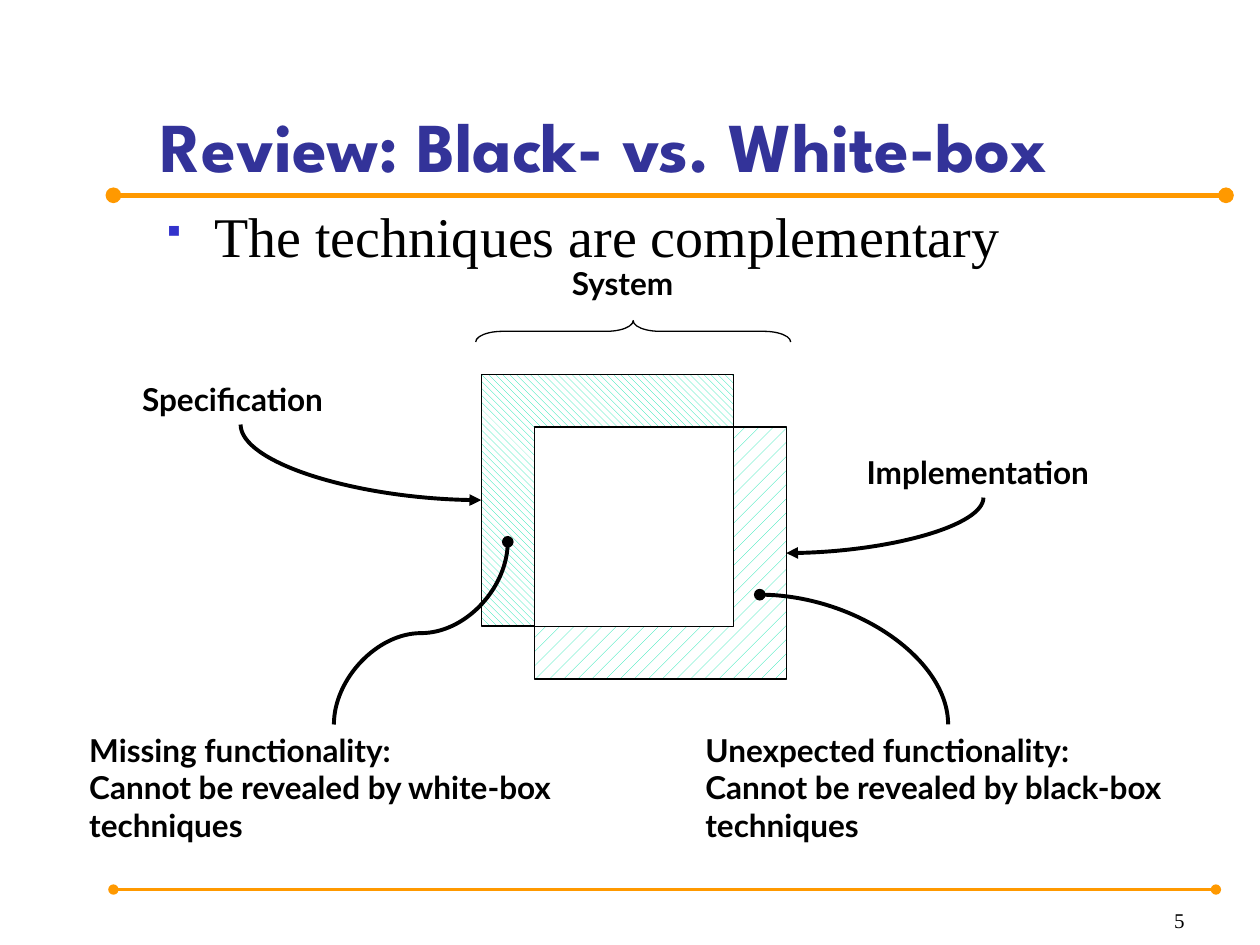
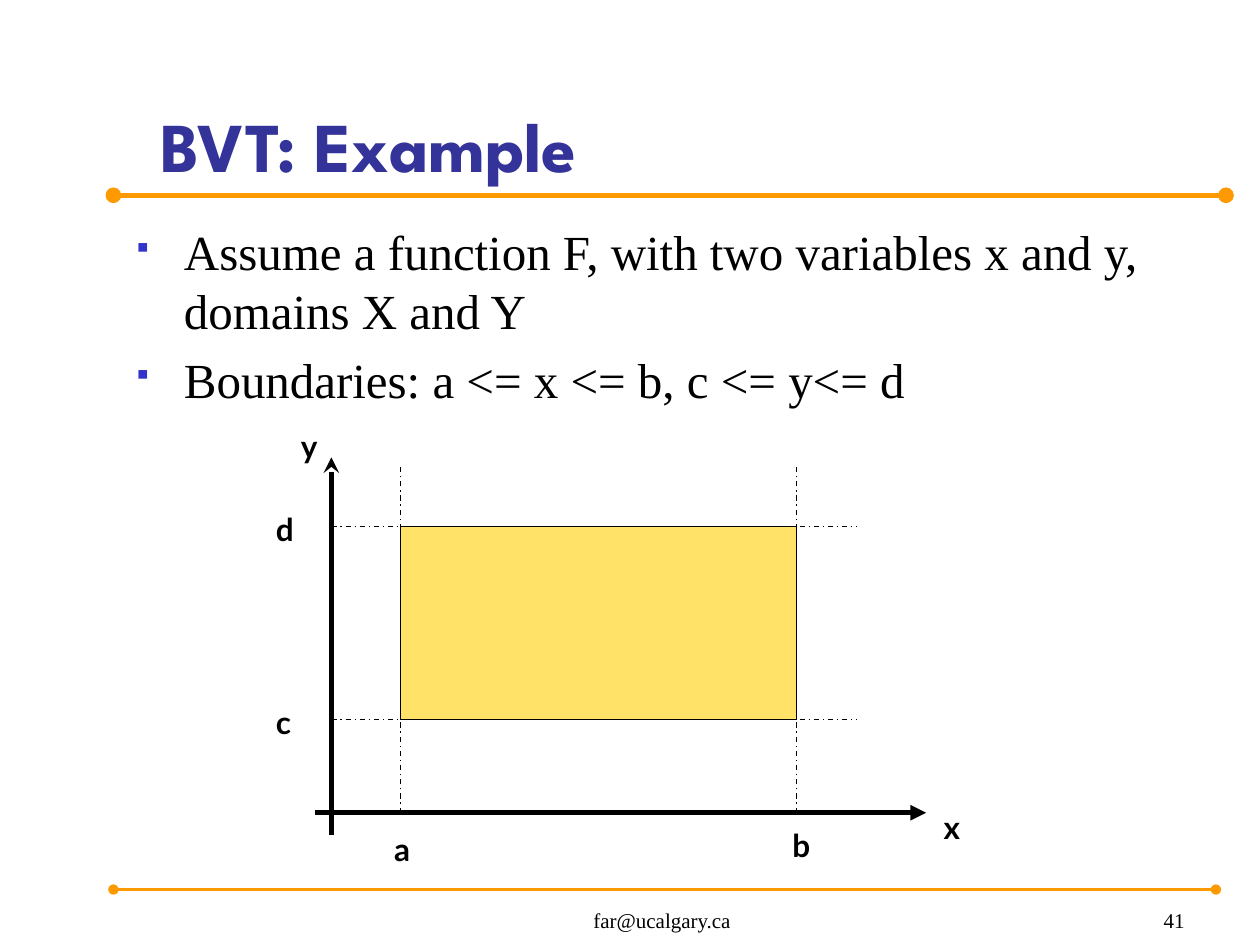
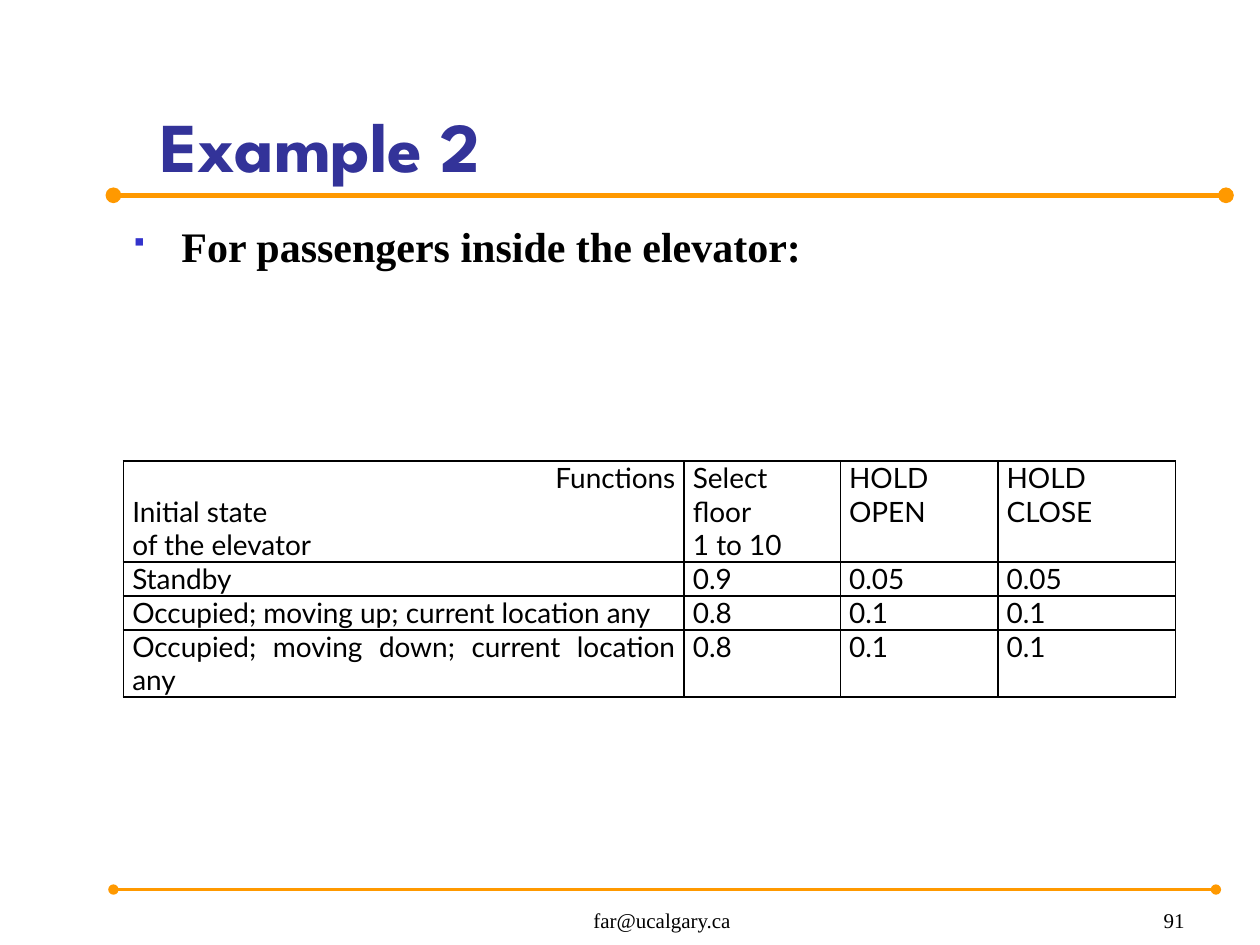
from dataclasses import dataclass

from lxml import etree
from pptx import Presentation
from pptx.dml.color import RGBColor
from pptx.enum.dml import MSO_LINE, MSO_PATTERN
from pptx.enum.shapes import MSO_CONNECTOR, MSO_SHAPE
from pptx.enum.text import MSO_ANCHOR, MSO_AUTO_SIZE, PP_ALIGN
from pptx.oxml.ns import qn
from pptx.util import Inches, Pt


@dataclass(frozen=True)
class Theme:
    ink: str = "000000"
    paper: str = "FFFFFF"
    title: str = "333399"
    bullet: str = "3333CC"
    rule: str = "FF9900"
    hatch: str = "00E4A8"
    domain: str = "FFE267"
    title_font: str = "League Spartan"
    body_font: str = "Times New Roman"
    label_font: str = "Lato"
    title_size: int = 40
    label_size: int = 18
    table_size: int = 16
    footer_size: int = 12
    thin: float = 0.75
    curve: float = 2.25
    heavy: float = 3


THEME = Theme()
EMAIL = "far@ucalgary.ca"


def rgb(code):
    return RGBColor.from_string(code)


def sub(parent, tag, **attributes):
    return etree.SubElement(parent, qn(tag), attributes)


def write(paragraph, text, font, size, color=THEME.ink, bold=False):
    """Add one run per line of text, with line breaks between."""
    for index, line in enumerate(text.split("\n")):
        if index:
            paragraph.add_line_break()
        run = paragraph.add_run()
        run.text = line
        run.font.name = font
        run.font.size = Pt(size)
        run.font.bold = bold
        run.font.color.rgb = rgb(color)


def place(shape, left, top, width, height):
    shape.left, shape.top = Inches(left), Inches(top)
    shape.width, shape.height = Inches(width), Inches(height)


def add_line(slide, start, end, color=THEME.ink, width=THEME.thin,
             head=None, tail=None, dash=None, kind=MSO_CONNECTOR.STRAIGHT):
    line = slide.shapes.add_connector(
        kind, *(Inches(value) for value in (*start, *end)))
    line.line.color.rgb = rgb(color)
    line.line.width = Pt(width)
    if dash:
        line.line.dash_style = dash
    outline = line.line._get_or_add_ln()
    for tag, arrow in (("a:headEnd", head), ("a:tailEnd", tail)):
        if arrow:
            sub(outline, tag, type=arrow)
    sub(line.element.spPr, "a:effectLst")
    return line


def add_bend(slide, tip, label, site, arrow):
    """Curve that leaves its tip sideways and reaches a label's side upright."""
    x = label.left + label.width // 2
    y = label.top + (label.height if site == 2 else 0)
    bend = add_line(slide, tip, (x.inches if hasattr(x, "inches") else x / Inches(1),
                                 y / Inches(1)),
                    width=THEME.curve, head=arrow, kind=MSO_CONNECTOR.CURVE)
    bend.element.spPr.find(qn("a:prstGeom")).set("prst", "curvedConnector2")
    bend.end_connect(label, site)
    return bend


def add_s_curve(slide, tip, foot, label):
    """Curve that leaves its tip downwards and enters the label's top."""
    across, down = tip[0] - foot[0], foot[1] - tip[1]
    left = (tip[0] + foot[0] - down) / 2
    top = (tip[1] + foot[1] - across) / 2
    curve = add_line(slide, (left, top), (left + down, top + across),
                     width=THEME.curve, head="oval", kind=MSO_CONNECTOR.CURVE)
    curve.end_connect(label, 0)
    frame = curve.element.spPr.find(qn("a:xfrm"))
    for flip in ("flipH", "flipV"):
        frame.attrib.pop(flip, None)
    place(curve, left, top, down, across)
    frame.set("rot", "5400000")


def add_outlined(slide, kind, left, top, width, height):
    shape = slide.shapes.add_shape(
        kind, *(Inches(value) for value in (left, top, width, height)))
    shape.shadow.inherit = False
    shape.line.color.rgb = rgb(THEME.ink)
    shape.line.width = Pt(THEME.thin)
    return shape


def add_box(slide, left, top, width, height, fill, pattern=None):
    box = add_outlined(slide, MSO_SHAPE.RECTANGLE, left, top, width, height)
    if pattern:
        box.fill.patterned()
        box.fill.pattern = pattern
        box.fill.fore_color.rgb = rgb(fill)
        box.fill.back_color.rgb = rgb(THEME.paper)
    else:
        box.fill.solid()
        box.fill.fore_color.rgb = rgb(fill)
    return box


def add_label(slide, text, left, top, width, height, wrap=False):
    label = slide.shapes.add_textbox(
        *(Inches(value) for value in (left, top, width, height)))
    label.text_frame.word_wrap = wrap
    label.text_frame.auto_size = MSO_AUTO_SIZE.SHAPE_TO_FIT_TEXT
    write(label.text_frame.paragraphs[0], text, THEME.label_font,
          THEME.label_size, bold=True)
    return label


def add_footer(slide, text, left, width, align):
    footer = slide.shapes.add_textbox(
        Inches(left), Inches(7.01), Inches(width), Inches(0.44))
    footer.text_frame.word_wrap = True
    footer.text_frame.vertical_anchor = MSO_ANCHOR.BOTTOM
    paragraph = footer.text_frame.paragraphs[0]
    paragraph.alignment = align
    write(paragraph, text, THEME.body_font, THEME.footer_size)


def add_bullets(slide, frame, size, items, bold=False):
    body = slide.placeholders[1]
    place(body, *frame)
    text = body.text_frame
    text.auto_size = MSO_AUTO_SIZE.NONE
    for index, item in enumerate(items):
        paragraph = text.add_paragraph() if index else text.paragraphs[0]
        properties = paragraph._p.get_or_add_pPr()
        properties.set("marL", str(Inches(0.38)))
        properties.set("indent", str(Inches(-0.38)))
        sub(sub(properties, "a:buClr"), "a:srgbClr", val=THEME.bullet)
        sub(properties, "a:buSzPct", val="60000")
        sub(properties, "a:buFont", typeface="Wingdings")
        sub(properties, "a:buChar", char="§")
        paragraph.space_before = Pt(0.2 * size if index else 0)
        write(paragraph, item, THEME.body_font, size, bold=bold)


def add_slide(deck, title, number, email=None):
    slide = deck.slides.add_slide(deck.slide_layouts[1])
    for y, right, width in ((1.55, 9.73, THEME.heavy), (7.06, 9.65, 1.5)):
        add_line(slide, (0.9, y), (right, y), THEME.rule, width, "oval", "oval")
    heading = slide.shapes.title
    place(heading, 1.17, 0.28, 8.61, 1.25)
    heading.text_frame.auto_size = MSO_AUTO_SIZE.NONE
    heading.text_frame.vertical_anchor = MSO_ANCHOR.BOTTOM
    paragraph = heading.text_frame.paragraphs[0]
    paragraph.alignment = PP_ALIGN.LEFT
    write(paragraph, title, THEME.title_font, THEME.title_size, THEME.title, True)
    if email:
        add_footer(slide, email, 3.67, 3.17, PP_ALIGN.CENTER)
    add_footer(slide, number, 7.42, 2.08, PP_ALIGN.RIGHT)
    return slide


def border_cell(cell):
    properties = cell._tc.get_or_add_tcPr()
    for position, side in enumerate(("a:lnL", "a:lnR", "a:lnT", "a:lnB")):
        edge = etree.Element(qn(side), w=str(Pt(1)))
        sub(sub(edge, "a:solidFill"), "a:srgbClr", val=THEME.ink)
        properties.insert(position, edge)


def fill_cell(cell, text):
    cell.margin_left = cell.margin_right = Inches(0.07)
    cell.margin_top = cell.margin_bottom = 0
    cell.fill.solid()
    cell.fill.fore_color.rgb = rgb(THEME.paper)
    border_cell(cell)
    for index, line in enumerate(text.split("\n")):
        paragraph = (cell.text_frame.add_paragraph() if index
                     else cell.text_frame.paragraphs[0])
        paragraph.alignment = (PP_ALIGN.RIGHT if line == "Functions"
                               else PP_ALIGN.JUSTIFY)
        write(paragraph, line, THEME.label_font, THEME.table_size)


def add_grid(slide, left, top, widths, heights, rows):
    table = slide.shapes.add_table(
        len(rows), len(widths), Inches(left), Inches(top),
        Inches(sum(widths)), Inches(sum(heights))).table
    for column, width in zip(table.columns, widths):
        column.width = Inches(width)
    for row, height, texts in zip(table.rows, heights, rows):
        row.height = Inches(height)
        for cell, text in zip(row.cells, texts):
            fill_cell(cell, text)


def build_review(deck):
    slide = add_slide(deck, "Review: Black- vs. White-box", "5")
    add_bullets(slide, (1.22, 1.55, 8.19, 0.49), 32,
                ["The techniques are complementary"])
    add_label(slide, "System", 4.44, 2.05, 1.09, 0.4)
    brace = add_outlined(slide, MSO_SHAPE.LEFT_BRACE, 4.94, 1.38, 0.17, 2.5)
    brace.rotation = 90
    brace.adjustments[0], brace.adjustments[1] = 1.25, 0.5
    brace.fill.background()

    side, shift = 2, 0.42
    left, top = 3.82, 2.97
    overlap = side - shift
    add_box(slide, left, top, side, side, THEME.hatch,
            MSO_PATTERN.WIDE_DOWNWARD_DIAGONAL)
    add_box(slide, left + shift, top + shift, side, side, THEME.hatch,
            MSO_PATTERN.PERCENT_10)
    add_box(slide, left + shift, top + shift, overlap, overlap, THEME.paper)

    specification = add_label(slide, "Specification", 1.03, 2.97, 1.76, 0.4)
    implementation = add_label(slide, "Implementation", 6.78, 3.55, 2.05, 0.4)
    missing = add_label(
        slide, "Missing functionality:\nCannot be revealed by white-box techniques",
        0.61, 5.75, 4.08, 1, wrap=True)
    unexpected = add_label(
        slide, "Unexpected functionality:\nCannot be revealed by black-box techniques",
        5.5, 5.75, 4.05, 1, wrap=True)
    add_bend(slide, (left, top + side / 2), specification, 2, "triangle")
    add_bend(slide, (left + shift + side, top + shift + side / 2),
             implementation, 2, "triangle")
    add_bend(slide, (6.03, 4.72), unexpected, 0, "oval")
    add_s_curve(slide, (4.03, 4.3), (2.65, 5.75), missing)


def build_boundary_example(deck):
    slide = add_slide(deck, "BVT: Example", "41", EMAIL)
    add_bullets(slide, (0.98, 1.71, 8.75, 4.96), 28, [
        "Assume a function F, with two variables x and y, domains X and Y",
        "Boundaries: a <= x <= b, c <= y<= d"])
    axis_x, axis_y = 2.63, 6.45
    a, b, c, d = 3.18, 6.32, 5.71, 4.18
    add_line(slide, (axis_x, 6.63), (axis_x, 3.63), width=THEME.heavy,
             tail="stealth")
    add_line(slide, (2.5, axis_y), (7.35, axis_y), width=THEME.heavy,
             tail="triangle")
    for y in (d, c):
        add_line(slide, (axis_x, y), (6.8, y), dash=MSO_LINE.DASH_DOT)
    for x in (a, b):
        add_line(slide, (x, axis_y), (x, 3.69), dash=MSO_LINE.DASH_DOT)
    add_box(slide, a, d, b - a, c - d, THEME.domain)
    for name, left, top in (("a", 3.03, 6.54), ("b", 6.19, 6.51),
                            ("d", 2.09, 4), ("c", 2.09, 5.53),
                            ("x", 7.39, 6.36), ("y", 2.29, 3.34)):
        add_label(slide, name, left, top, 0.28, 0.29)


def build_elevator_example(deck):
    slide = add_slide(deck, "Example 2", "91", EMAIL)
    add_bullets(slide, (0.96, 1.7, 8.75, 4.96), 24,
                ["For passengers inside the elevator:"], bold=True)
    add_grid(slide, 0.98, 3.66, (4.45, 1.24, 1.25, 1.41),
             (0.8, 0.27, 0.27, 0.53), [
        ("Functions\nInitial state\nof the elevator", "Select floor\n1 to 10",
         "HOLD OPEN", "HOLD CLOSE"),
        ("Standby", "0.9", "0.05", "0.05"),
        ("Occupied; moving up; current location any", "0.8", "0.1", "0.1"),
        ("Occupied; moving down; current location any", "0.8", "0.1", "0.1")])


def main():
    deck = Presentation()
    deck.slide_width, deck.slide_height = Inches(10), Inches(7.5)
    build_review(deck)
    build_boundary_example(deck)
    build_elevator_example(deck)
    deck.save("out.pptx")


if __name__ == "__main__":
    main()
